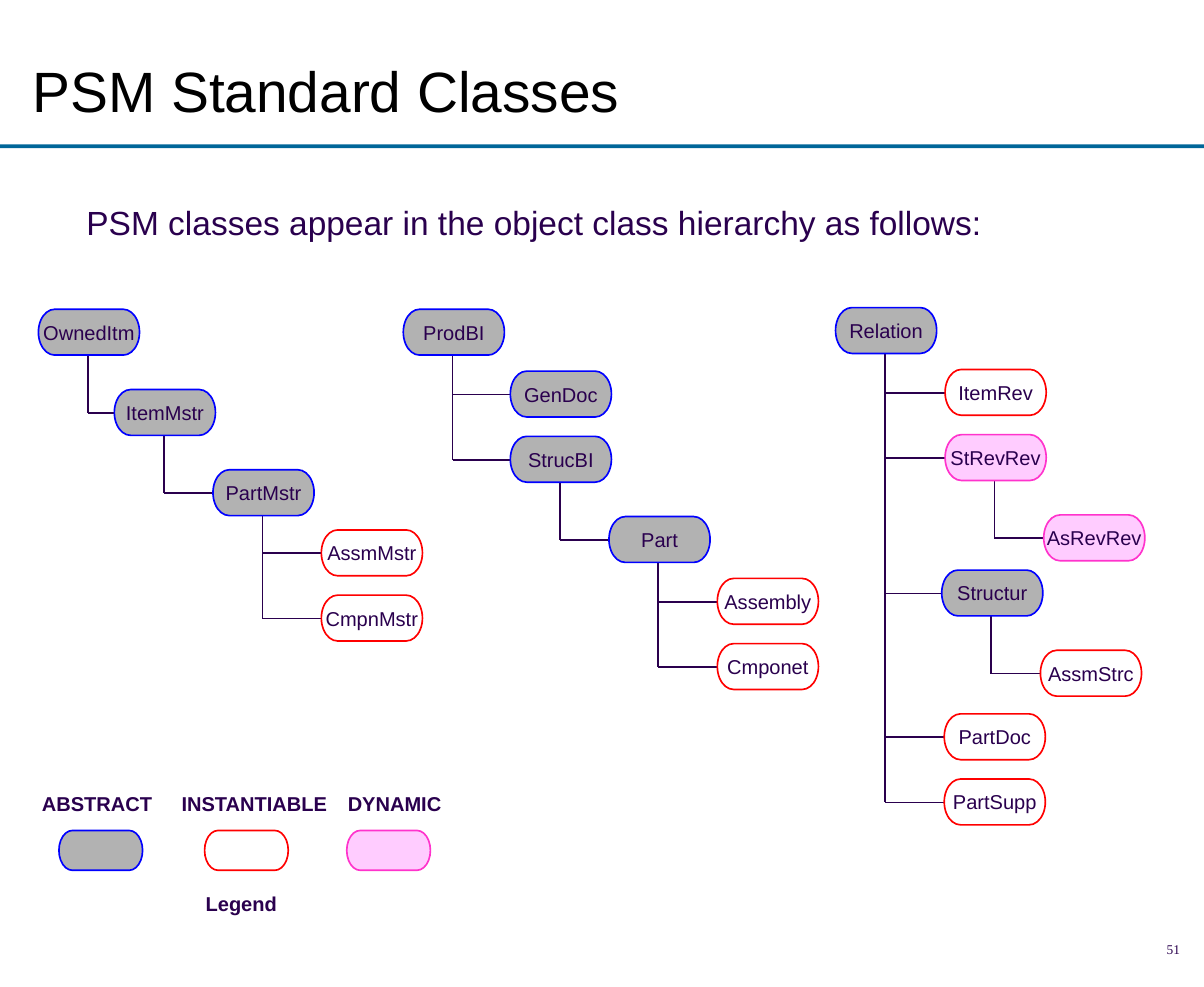
"""Build the PSM Standard Classes slide."""
from lxml import etree
from pptx import Presentation
from pptx import util as u
from pptx.dml.color import RGBColor
from pptx.enum import shapes, text
from pptx.oxml import ns

COLORS = {
    "ink": "2A004E", "title": "000000", "rule": "006699",
    "abstract": "B2B2B2", "abstract_line": "0000FF",
    "instantiable": None, "instantiable_line": "FF0000",
    "dynamic": "FFCCFF", "dynamic_line": "FF33CC",
}
NODE_W, NODE_H = 60.5, 27.4
TRUNK_X, BRANCH_Y = 29.5, 14

ITEM_TREE = ("OwnedItm", "abstract", 0, 0, [
    ("ItemMstr", "abstract", 45.4, 48, [
        ("PartMstr", "abstract", 59, 48, [
            ("AssmMstr", "instantiable", 64.8, 36, []),
            ("CmpnMstr", "instantiable", 64.8, 75, [])])])])
PRODUCT_TREE = ("ProdBI", "abstract", 0, 0, [
    ("GenDoc", "abstract", 64, 37, []),
    ("StrucBI", "abstract", 64, 76, [
        ("Part", "abstract", 59, 48, [
            ("Assembly", "instantiable", 64.8, 37, []),
            ("Cmponet", "instantiable", 64.8, 76, [])])])])
RELATION_TREE = ("Relation", "abstract", 0, 0, [
    ("ItemRev", "instantiable", 65.5, 37, []),
    ("StRevRev", "dynamic", 65.5, 76, [
        ("AsRevRev", "dynamic", 59, 48, [])]),
    ("Structur", "abstract", 63.5, 157, [
        ("AssmStrc", "instantiable", 59, 48, [])]),
    ("PartDoc", "instantiable", 65, 243, []),
    ("PartSupp", "instantiable", 65, 282, [])])


def rgb(name):
    """Return the named colour."""
    return RGBColor.from_string(COLORS[name])


def box(left, top, width, height):
    """Return a rectangle given in points as lengths."""
    return [u.Pt(side) for side in (left, top, width, height)]


def write_text(frame, words, size=12, color="ink", font="Arial", bold=False,
               align="LEFT", anchor="TOP", wrap=True, margins=(7.2, 3.6), spacing=None):
    """Fill a text frame with one formatted paragraph."""
    frame.auto_size = text.MSO_AUTO_SIZE.NONE
    frame.word_wrap = wrap
    frame.vertical_anchor = text.MSO_ANCHOR[anchor]
    frame.margin_left = frame.margin_right = u.Pt(margins[0])
    frame.margin_top = frame.margin_bottom = u.Pt(margins[1])
    paragraph = frame.paragraphs[0]
    paragraph.text = words
    paragraph.alignment = text.PP_ALIGN[align]
    if spacing:
        paragraph.line_spacing = spacing
    paragraph.font.size = u.Pt(size)
    paragraph.font.name = font
    paragraph.font.bold = bold
    paragraph.font.color.rgb = rgb(color)


def add_label(slide, area, words, **style):
    """Add a text box over an area."""
    write_text(slide.shapes.add_textbox(*box(*area)).text_frame, words, **style)


def add_line(slide, x1, y1, x2, y2):
    """Draw a thin tree line."""
    line = slide.shapes.add_connector(
        shapes.MSO_CONNECTOR.STRAIGHT, u.Pt(x1), u.Pt(y1), u.Pt(x2), u.Pt(y2))
    line.line.color.rgb = rgb("ink")
    line.line.width = u.Pt(1)
    etree.SubElement(line._element.spPr, ns.qn("a:effectLst"))


def add_capsule(slide, area, kind):
    """Add a rounded shape in the style of a class kind."""
    capsule = slide.shapes.add_shape(
        shapes.MSO_SHAPE.FLOWCHART_TERMINATOR, *box(*area))
    capsule.shadow.inherit = False
    if COLORS[kind]:
        capsule.fill.solid()
        capsule.fill.fore_color.rgb = rgb(kind)
    else:
        capsule.fill.background()
    capsule.line.color.rgb = rgb(kind + "_line")
    capsule.line.width = u.Pt(1)
    return capsule


def add_tree(slide, left, top, node):
    """Draw a class and its subclasses, offset from the given corner."""
    name, kind, dx, dy, children = node
    left, top = left + dx, top + dy
    trunk = left + TRUNK_X
    for child in children:
        branch = top + child[3] + BRANCH_Y
        add_line(slide, trunk, branch, left + child[2], branch)
        add_tree(slide, left, top, child)
    if children:
        add_line(slide, trunk, top + NODE_H, trunk, branch)
    capsule = add_capsule(slide, (left, top, NODE_W, NODE_H), kind)
    write_text(capsule.text_frame, name, align="CENTER", anchor="MIDDLE",
               wrap=False, margins=(0, 0))


def add_header(slide, left, top, width, height):
    """Place the title, the rule under it and the lead sentence."""
    rule = slide.shapes.add_shape(
        shapes.MSO_SHAPE.RECTANGLE, *box(left, top + height - 2.2, width, 2.2))
    rule.shadow.inherit = False
    rule.fill.solid()
    rule.fill.fore_color.rgb = rgb("rule")
    rule.line.fill.background()
    title = slide.shapes.title
    title.left, title.top, title.width, title.height = box(left + 12.2, top + 6.5, 588, 98.6)
    write_text(title.text_frame, "PSM Standard Classes", size=34, color="title",
               anchor="MIDDLE", spacing=0.95)
    add_label(slide, (left + 44.6, top + 117.5, 640, 32),
              "PSM classes appear in the object class hierarchy as follows:", size=20)


def add_legend(slide, left, top):
    """Draw the key to the three class kinds."""
    entries = [("abstract", 0, 80, 17.3), ("instantiable", 83.5, 102.2, 104.4),
               ("dynamic", 182.9, 70.6, 189.4)]
    for kind, label_x, label_w, swatch_x in entries:
        add_label(slide, (left + label_x, top, label_w, 21.6), kind.upper(),
                  bold=True, wrap=False)
        add_capsule(slide, (left + swatch_x, top + 26.6, 50, 23.8), kind)
    add_label(slide, (left + 97.9, top + 59.8, 56.9, 21.6), "Legend", bold=True, wrap=False)


def main():
    """Build and save the presentation."""
    deck = Presentation()
    deck.slide_width, deck.slide_height = u.Pt(720), u.Pt(590.4)
    slide = deck.slides.add_slide(deck.slide_layouts.get_by_name("Title Only"))
    add_header(slide, 0, 0, 720, 88.6)
    add_tree(slide, 23, 185, ITEM_TREE)
    add_tree(slide, 241.2, 185, PRODUCT_TREE)
    add_tree(slide, 499.7, 184, RELATION_TREE)
    add_legend(slide, 18, 470.2)
    add_label(slide, (563, 548.6, 149.8, 38.9), "51", size=8, font="Times New Roman",
              align="RIGHT", anchor="MIDDLE")
    deck.save("out.pptx")


if __name__ == "__main__":
    main()
